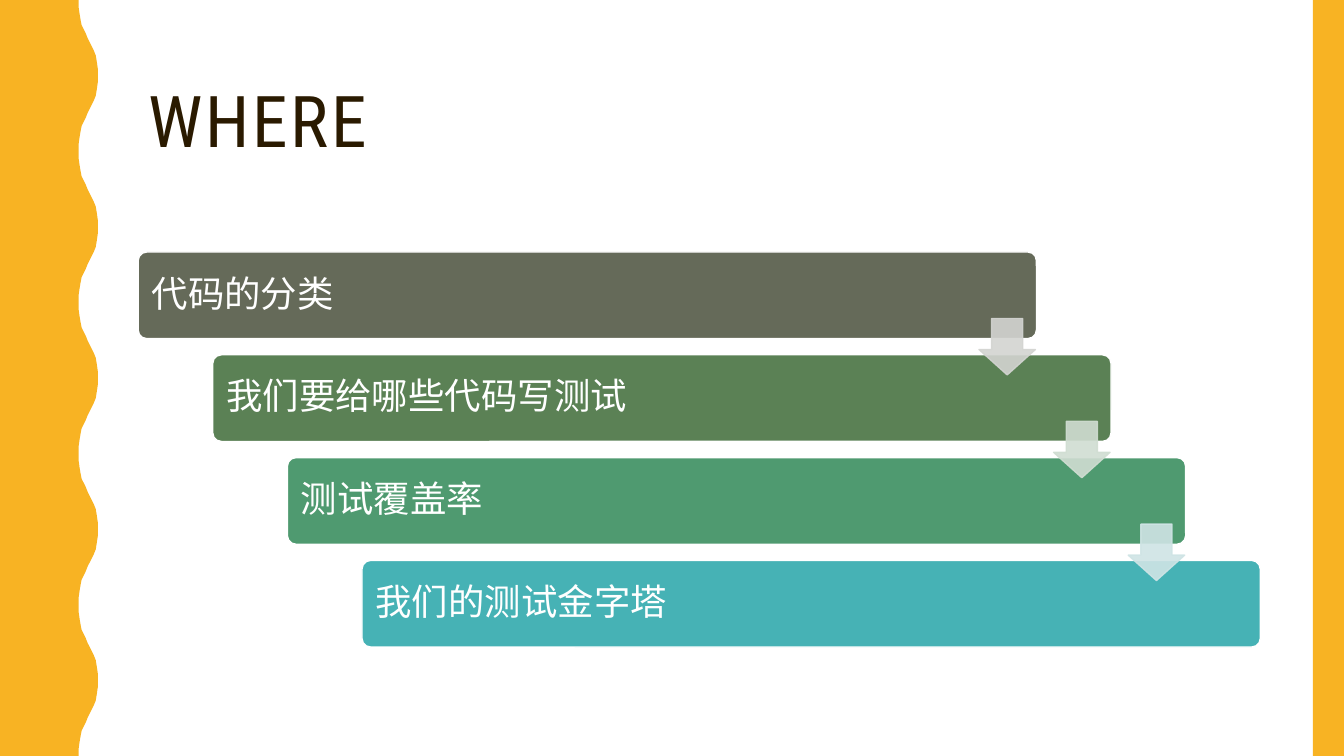
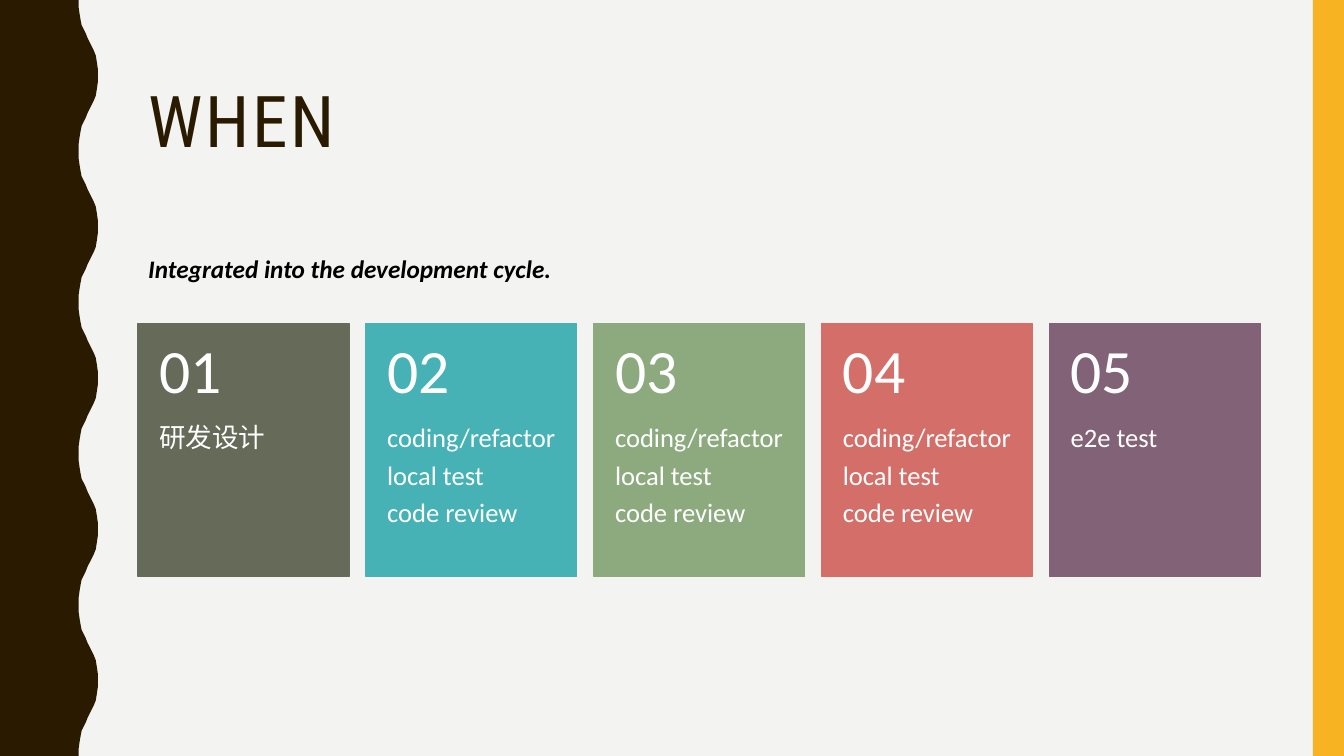
from lxml.etree import SubElement as Sub
from pptx import Presentation
from pptx.dml.color import RGBColor as RGB
from pptx.enum.shapes import MSO_SHAPE as Shape
from pptx.enum.text import MSO_ANCHOR as Anchor, PP_ALIGN as Align
from pptx.oxml.ns import qn
from pptx.util import Inches, Pt

WHITE = RGB(0xFF, 0xFF, 0xFF)
BLACK = RGB(0x00, 0x00, 0x00)
PALE = RGB(0xF3, 0xF3, 0xF2)
BROWN = RGB(0x2A, 0x1A, 0x00)
GOLD = RGB(0xF8, 0xB3, 0x23)
OLIVE = RGB(0x65, 0x6A, 0x59)
MOSS = RGB(0x5B, 0x81, 0x55)
GREEN = RGB(0x4F, 0x9A, 0x70)
TEAL = RGB(0x46, 0xB2, 0xB5)
SAGE = RGB(0x8C, 0xAA, 0x7E)
CORAL = RGB(0xD3, 0x6F, 0x68)
PLUM = RGB(0x82, 0x62, 0x76)
GREY_TINT = RGB(0xD3, 0xD4, 0xD1)
MOSS_TINT = RGB(0xD0, 0xDD, 0xD2)
TEAL_TINT = RGB(0xCF, 0xE4, 0xE5)

WIDE, HIGH = 13.33, 7.5
LEFT = 1.37

# Half a wave of the left band; the other half mirrors it
PERIOD = 1.5
HALF = [(0.78, 0), (0.78, 0.07), (0.79, 0.14), (0.8, 0.2), (0.81, 0.25),
        (0.83, 0.29), (0.85, 0.33), (0.87, 0.38), (0.89, 0.42), (0.91, 0.46),
        (0.93, 0.5), (0.95, 0.55), (0.96, 0.61), (0.97, 0.68), (0.97, 0.75)]
WAVE = HALF + [(x, PERIOD - y) for x, y in HALF[-2::-1]]


class Deck:
    font = "Calibri"
    head = "Roboto Condensed"

    def __init__(self):
        self.prs = Presentation()
        self.prs.slide_width = Inches(WIDE)
        self.prs.slide_height = Inches(HIGH)
        self.slide = None

    def page(self, title, back, band):
        self.slide = self.prs.slides.add_slide(self.prs.slide_layouts[6])
        fill = self.slide.background.fill
        fill.solid()
        fill.fore_color.rgb = back
        self.wave(band)
        self.block(Shape.RECTANGLE, (13.02, 0, 0.31, HIGH), GOLD)
        box = self.label(title, (LEFT, 0.42, 11.13, 1.63), 51, BROWN, font=self.head)
        run = box.text_frame.paragraphs[0].runs[0]
        run._r.get_or_add_rPr().set("spc", "200")

    def wave(self, color):
        edge = [(x, y + k * PERIOD) for k in range(round(HIGH / PERIOD)) for x, y in WAVE]
        pen = self.slide.shapes.build_freeform(0, 0)
        pen.add_line_segments([(Inches(x), Inches(y)) for x, y in edge + [(0, HIGH)]])
        self.paint(pen.convert_to_shape(), color)

    def paint(self, item, color, line=None, alpha=None):
        item.shadow.inherit = False
        item.fill.solid()
        item.fill.fore_color.rgb = color
        if line is None:
            item.line.fill.background()
        else:
            item.line.color.rgb = line
            item.line.width = Pt(1)
        if alpha:
            for node in item._element.spPr.iter(qn("a:srgbClr")):
                Sub(node, qn("a:alpha"), val=str(alpha * 1000))

    def block(self, kind, area, color, line=None, adj=(), alpha=None):
        item = self.slide.shapes.add_shape(kind, *map(Inches, area))
        for i, val in enumerate(adj):
            item.adjustments[i] = val
        self.paint(item, color, line, alpha)
        return item

    def words(self, item, text, size, color, font=None, inset=(0.1, 0.05, 0.1, 0.05),
              anchor=Anchor.MIDDLE, space=0.9, after=0):
        frame = item.text_frame
        frame.text = text
        frame.word_wrap = True
        frame.vertical_anchor = anchor
        (frame.margin_left, frame.margin_top,
         frame.margin_right, frame.margin_bottom) = map(Inches, inset)
        for para in frame.paragraphs:
            para.alignment = Align.LEFT
            para.line_spacing = space
            para.space_after = Pt(after)
            for run in para.runs:
                run.font.name = font or self.font
                run.font.size = Pt(size)
                run.font.color.rgb = color

    def label(self, text, area, size, color, **style):
        box = self.slide.shapes.add_textbox(*map(Inches, area))
        self.words(box, text, size, color, **style)
        return box

    def bar(self, text, area, color):
        item = self.block(Shape.ROUNDED_RECTANGLE, area, color, WHITE, (0.1,))
        self.words(item, text, 26, WHITE, inset=(0.11,) * 4)

    def arrow(self, left, top, color):
        self.block(Shape.DOWN_ARROW, (left, top, 0.56, 0.56), color, color,
                   (0.55, 0.45), 90)

    def card(self, num, text, left, color):
        top, wide = 3.21, 2.09
        item = self.block(Shape.RECTANGLE, (left, top, wide, 2.51), color, color)
        self.words(item, text, 19, WHITE, inset=(0.21, 1, 0.21, 0.36),
                   anchor=Anchor.TOP, after=6.5)
        self.label(f"{num:02}", (left, top, wide, 1), 44, WHITE,
                   inset=(0.21, 0.18, 0.21, 0.18))


def main():
    deck = Deck()

    # Where: a staircase of bars joined by arrows
    deck.page("WHERE", WHITE, GOLD)
    bars = [("代码的分类", OLIVE), ("我们要给哪些代码写测试", MOSS),
            ("测试覆盖率", GREEN), ("我们的测试金字塔", TEAL)]
    spots = [(LEFT + 0.74 * i, 2.5 + 1.02 * i) for i in range(len(bars))]
    for (text, color), (x, y) in zip(bars, spots):
        deck.bar(text, (x, y, 8.91, 0.86), color)
    for color, (x, y) in zip((GREY_TINT, MOSS_TINT, TEAL_TINT), spots):
        deck.arrow(x + 8.34, y + 0.66, color)

    # When: a row of numbered cards
    deck.page("WHEN", PALE, BROWN)
    work = "coding/refactor\nlocal test\ncode review"
    cards = [("研发设计", OLIVE), (work, TEAL), (work, SAGE),
             (work, CORAL), ("e2e test", PLUM)]
    for i, (text, color) in enumerate(cards):
        deck.card(i + 1, text, LEFT + 2.26 * i, color)
    note = deck.label("Integrated into the development cycle.",
                      (LEFT, 2.46, 4.48, 0.4), 18, BLACK, anchor=Anchor.TOP, space=1)
    note.text_frame.word_wrap = False
    face = note.text_frame.paragraphs[0].runs[0].font
    face.bold = face.italic = True

    deck.prs.save("out.pptx")


if __name__ == "__main__":
    main()
